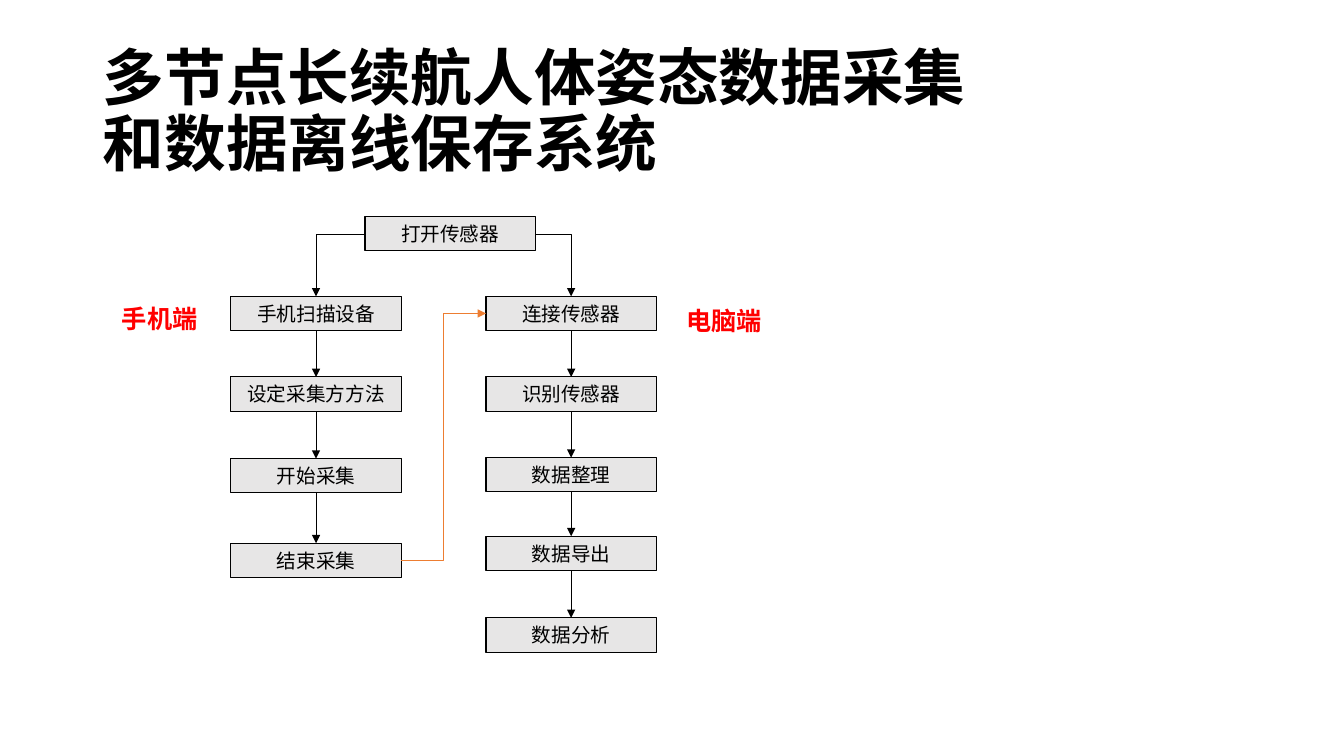
from itertools import pairwise

from lxml import etree
from pptx import Presentation
from pptx import util as u
from pptx.dml.color import RGBColor
from pptx.enum import shapes, text
from pptx.oxml.ns import qn

BLACK = RGBColor(0, 0, 0)
RED = RGBColor(0xFF, 0, 0)
GREY = RGBColor(0xE7, 0xE6, 0xE6)
ORANGE = RGBColor(0xED, 0x7D, 0x31)
FACE = "Noto Sans CJK SC"
WIDE, HIGH = 1.69, 0.34
TOP, LEFT, BOTTOM, RIGHT = range(4)

HEAD = {"size": u.Pt(44), "bold": True}
STEP = {"size": u.Pt(14), "bold": False}
SIDE = {"size": u.Pt(18), "bold": True}

# Steps of each column with their top edges
PHONE = [("手机扫描设备", 2.94), ("设定采集方方法", 3.74),
         ("开始采集", 4.55), ("结束采集", 5.39)]
DESK = [("连接传感器", 2.94), ("识别传感器", 3.74), ("数据整理", 4.54),
        ("数据导出", 5.32), ("数据分析", 6.13)]


def write(par, words, form, color):
    """Add one formatted run to a paragraph."""
    run = par.add_run()
    run.text = words
    for key, val in {**form, "name": FACE}.items():
        setattr(run.font, key, val)
    run.font.color.rgb = color
    etree.SubElement(run.font._element, qn("a:ea"), typeface=FACE)


def title(slide, box):
    """Two-line heading in the title placeholder."""
    shape = slide.shapes.title
    shape.left, shape.top, shape.width, shape.height = map(u.Inches, box)
    frame = shape.text_frame
    frame.vertical_anchor = text.MSO_ANCHOR.MIDDLE
    par = frame.paragraphs[0]
    par.alignment, par.line_spacing = text.PP_ALIGN.LEFT, 0.9
    write(par, "多节点长续航人体姿态数据采集", HEAD, BLACK)
    par.add_line_break()
    write(par, "和数据离线保存系统", HEAD, BLACK)


def step(slide, words, left, top):
    """One grey process box."""
    box = slide.shapes.add_shape(
        shapes.MSO_SHAPE.RECTANGLE, *map(u.Inches, (left, top, WIDE, HIGH)))
    box.shadow.inherit = False
    box.fill.solid()
    box.fill.fore_color.rgb = GREY
    box.line.color.rgb = BLACK
    box.line.width = u.Pt(0.75)
    frame = box.text_frame
    frame.word_wrap = True
    frame.vertical_anchor = text.MSO_ANCHOR.MIDDLE
    par = frame.paragraphs[0]
    par.alignment = text.PP_ALIGN.CENTER
    write(par, words, STEP, BLACK)
    return box


def link(slide, start, out, end, into, kind="STRAIGHT", color=BLACK):
    """Arrow joined to a side of each of two boxes."""
    line = slide.shapes.add_connector(
        shapes.MSO_CONNECTOR[kind], 0, 0, 0, 0)
    line.begin_connect(start, out)
    line.end_connect(end, into)
    line.line.color.rgb = color
    line.line.width = u.Pt(0.5)
    etree.SubElement(line.line._get_or_add_ln(), qn("a:tailEnd"),
                     type="triangle")
    etree.SubElement(line._element.spPr, qn("a:effectLst"))
    return line


def column(slide, left, steps):
    """A column of boxes, each linked to the next."""
    boxes = [step(slide, words, left, top) for words, top in steps]
    for one, two in pairwise(boxes):
        link(slide, one, BOTTOM, two, TOP)
    return boxes


def label(slide, words, box):
    """Red name beside a column."""
    frame = slide.shapes.add_textbox(*map(u.Inches, box)).text_frame
    frame.word_wrap = True
    write(frame.paragraphs[0], words, SIDE, RED)


def flow(slide, left, mid, right):
    """The flow chart: a root box above two columns."""
    root = step(slide, "打开传感器", mid, 2.15)
    phone = column(slide, left, PHONE)
    desk = column(slide, right, DESK)
    # One-bend arrows from the root
    for side, first in ((LEFT, phone[0]), (RIGHT, desk[0])):
        bend = link(slide, root, side, first, TOP, "ELBOW")
        bend._element.spPr.find(qn("a:prstGeom")).set(
            "prst", "bentConnector2")
    # Hand-over from phone to computer
    link(slide, phone[-1], RIGHT, desk[0], LEFT, "ELBOW", ORANGE)
    label(slide, "手机端", (left - 1.18, 2.96, 1.05, 0.4))
    label(slide, "电脑端", (right + 1.89, 2.98, 1.28, 0.4))


def main():
    deck = Presentation()
    deck.slide_width, deck.slide_height = u.Inches(13.33), u.Inches(7.5)
    slide = deck.slides.add_slide(deck.slide_layouts[5])
    title(slide, (0.92, 0.4, 11.5, 1.45))
    flow(slide, 2.29, 3.62, 4.82)
    deck.save("out.pptx")


if __name__ == "__main__":
    main()
